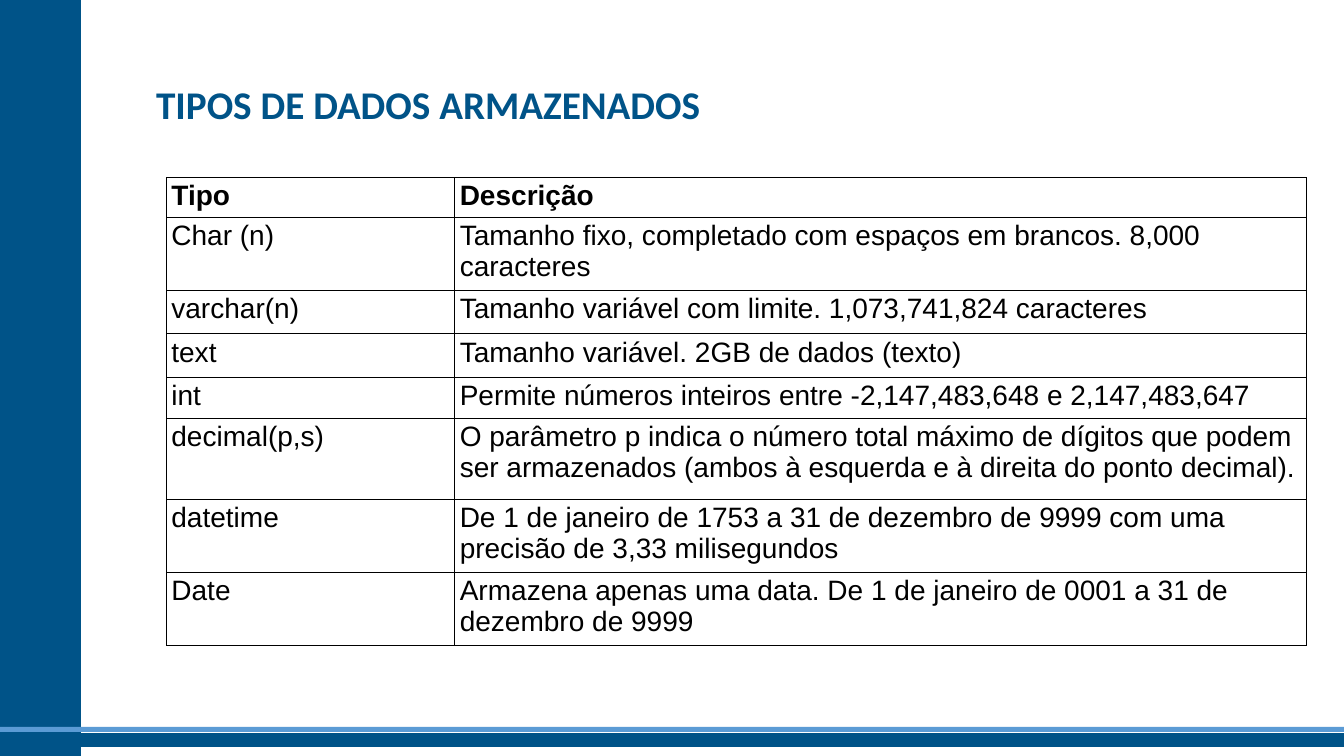
from lxml import etree
from pptx import Presentation
from pptx.dml.color import RGBColor
from pptx.enum.shapes import MSO_SHAPE
from pptx.enum.text import MSO_ANCHOR
from pptx.oxml.ns import qn
from pptx.util import Inches, Pt

RECTANGLE = MSO_SHAPE.RECTANGLE
MIDDLE = MSO_ANCHOR.MIDDLE
TOP = MSO_ANCHOR.TOP

WIDTH, HEIGHT = 13.33, 7.5
COLORS = {"navy": "005388", "sky": "5B9BD5", "black": "000000"}
TITLE_FONT = {"name": "Calibri", "size": Pt(28), "bold": True}
HEADER_FONT = {"name": "Arial", "size": Pt(20), "bold": True}
BODY_FONT = {**HEADER_FONT, "bold": False}
TITLE_SPACING = {"line_spacing": 0.9, "space_before": Pt(10)}
TITLE_FRAME = {"word_wrap": True, "vertical_anchor": MIDDLE}
CELL_FORMAT = {
    "margin_left": Inches(0.05),
    "margin_right": Inches(0.05),
    "margin_top": Inches(0.03),
    "margin_bottom": Inches(0.03),
    "vertical_anchor": TOP,
}
TABLE_FLAGS = {"first_row": False, "horz_banding": False}

COLUMN_WIDTHS = (2.86, 8.45)
DATA_TYPES = (
    (0.38, "Tipo", "Descrição"),
    (0.69, "Char (n)", "Tamanho fixo, completado com espaços em brancos. 8,000 caracteres"),
    (0.43, "varchar(n)", "Tamanho variável com limite. 1,073,741,824 caracteres"),
    (0.43, "text", "Tamanho variável. 2GB de dados (texto)"),
    (0.41, "int", "Permite números inteiros entre -2,147,483,648 e 2,147,483,647"),
    (0.8, "decimal(p,s)", "O parâmetro p indica o número total máximo de dígitos que podem "
                          "ser armazenados (ambos à esquerda e à direita do ponto decimal)."),
    (0.69, "datetime", "De 1 de janeiro de 1753 a 31 de dezembro de 9999 com uma "
                       "precisão de 3,33 milisegundos"),
    (0.69, "Date", "Armazena apenas uma data. De 1 de janeiro de 0001 a 31 de dezembro de 9999"),
)


def apply_format(target, values):
    for name, value in values.items():
        setattr(target, name, value)


def color(name):
    return RGBColor.from_string(COLORS[name])


def write_text(paragraph, text, font_format, color_name):
    run = paragraph.add_run()
    run.text = text
    apply_format(run.font, font_format)
    run.font.color.rgb = color(color_name)


def add_bar(slide, box, fill_name, outlined):
    shape = slide.shapes.add_shape(RECTANGLE, *map(Inches, box))
    shape.shadow.inherit = False
    shape.fill.solid()
    shape.fill.fore_color.rgb = color(fill_name)
    if outlined:
        shape.line.color.rgb = color(fill_name)
        shape.line.width = Pt(1)
    else:
        shape.line.fill.background()


def add_title(slide, box, text):
    frame = slide.shapes.add_textbox(*map(Inches, box)).text_frame
    apply_format(frame, TITLE_FRAME)
    paragraph = frame.paragraphs[0]
    apply_format(paragraph, TITLE_SPACING)
    write_text(paragraph, text, TITLE_FONT, "navy")


def add_borders(cell):
    properties = cell._tc.get_or_add_tcPr()
    for side in ("lnL", "lnR", "lnT", "lnB"):
        line = etree.SubElement(properties, qn(f"a:{side}"), w=str(Pt(0.5)))
        fill = etree.SubElement(line, qn("a:solidFill"))
        etree.SubElement(fill, qn("a:srgbClr"), val=COLORS["black"])


def add_type_table(slide, left, top):
    heights = [row[0] for row in DATA_TYPES]
    box = (left, top, sum(COLUMN_WIDTHS), sum(heights))
    table = slide.shapes.add_table(
        len(DATA_TYPES), len(COLUMN_WIDTHS), *map(Inches, box)).table
    apply_format(table, TABLE_FLAGS)
    for column, width in zip(table.columns, COLUMN_WIDTHS):
        column.width = Inches(width)
    for row_index, (height, *texts) in enumerate(DATA_TYPES):
        table.rows[row_index].height = Inches(height)
        font_format = BODY_FONT if row_index else HEADER_FONT
        for column_index, text in enumerate(texts):
            cell = table.cell(row_index, column_index)
            apply_format(cell, CELL_FORMAT)
            add_borders(cell)
            cell.fill.background()
            write_text(cell.text_frame.paragraphs[0], text, font_format, "black")


def main():
    presentation = Presentation()
    presentation.slide_width = Inches(WIDTH)
    presentation.slide_height = Inches(HEIGHT)
    slide = presentation.slides.add_slide(presentation.slide_layouts[6])
    add_bar(slide, (0, 0, 0.06 * WIDTH, HEIGHT), "navy", True)
    add_bar(slide, (0, 7.28, WIDTH, 0.12), "navy", True)
    add_bar(slide, (0, 7.21, WIDTH, 0.05), "sky", False)
    add_title(slide, (1.45, 0.54, 11.51, 1.03), "TIPOS DE DADOS ARMAZENADOS")
    add_type_table(slide, 1.65, 1.76)
    presentation.save("out.pptx")


if __name__ == "__main__":
    main()
